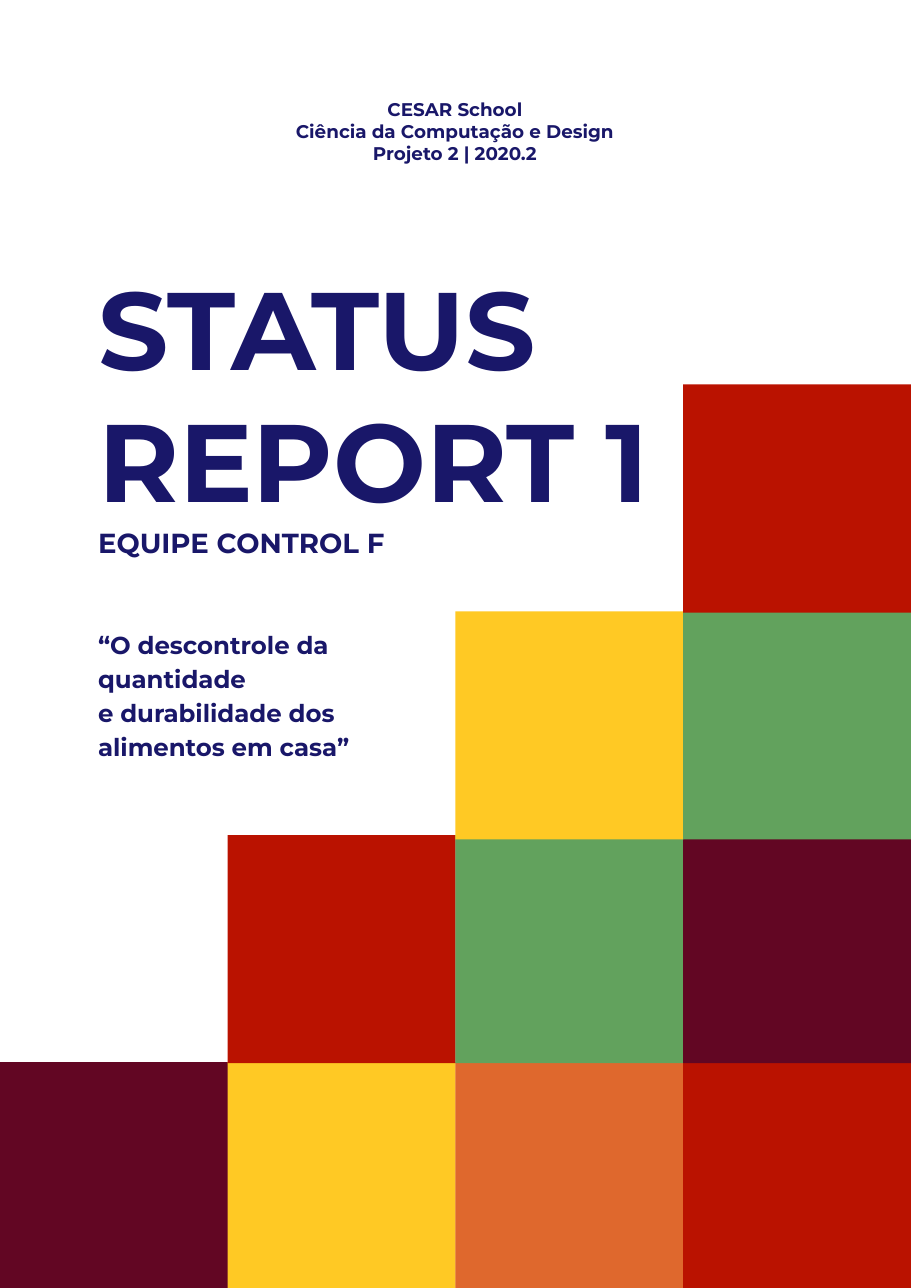
from pptx import Presentation
from pptx.dml.color import RGBColor
from pptx.enum import shapes, text
from pptx.oxml import xmlchemy as xml
from pptx.util import Inches, Pt

WIDE, HIGH = 8.27, 11.69
SIDE = 2.07
NAVY, RED, WINE = "191769", "BA1200", "620623"
GREEN, GOLD, RUST = "62A25D", "FFC924", "DF682D"

# Stairs of tiles: row top, then colours aligned to the right edge
ROWS = [
    (9.64, [WINE, GOLD, RUST, RED]),
    (7.58, [RED, GREEN, WINE]),
    (5.55, [GOLD, GREEN]),
    (3.49, [RED]),
]


def color(code):
    return RGBColor.from_string(code)


def tile(slide, left, top, code):
    box = slide.shapes.add_shape(
        shapes.MSO_SHAPE.RECTANGLE,
        Inches(left), Inches(top), Inches(SIDE), Inches(SIDE))
    box.shadow.inherit = False
    box.fill.solid()
    box.fill.fore_color.rgb = color(code)
    box.line.fill.background()


def stairs(slide):
    for top, codes in ROWS:
        first = 4 - len(codes)
        for col, code in enumerate(codes, first):
            tile(slide, col * WIDE / 4, top, code)


def place(shape, left, top, width, height):
    shape.left, shape.top = Inches(left), Inches(top)
    shape.width, shape.height = Inches(width), Inches(height)


def write(shape, lines, align=text.PP_ALIGN.LEFT):
    """Fill a shape with (words, size, line spacing, space before) lines."""
    frame = shape.text_frame
    frame.word_wrap = True
    frame.auto_size = text.MSO_AUTO_SIZE.NONE
    frame.vertical_anchor = text.MSO_ANCHOR.TOP
    frame.margin_left = frame.margin_right = Inches(0.1)
    frame.margin_top = frame.margin_bottom = Inches(0.1)
    frame.text = "\n".join(line[0] for line in lines)
    for para, (_, size, space, gap) in zip(frame.paragraphs, lines):
        plain(para)
        para.alignment = align
        para.line_spacing = space
        para.space_before = Pt(gap)
        para.font.name = "Montserrat"
        para.font.size = Pt(size)
        para.font.bold = True
        para.font.color.rgb = color(NAVY)


def plain(para):
    """Drop the bullet and indent of a paragraph."""
    props = para._p.get_or_add_pPr()
    props.set("marL", "0")
    props.set("indent", "0")
    props.append(xml.OxmlElement("a:buNone"))


def main():
    deck = Presentation()
    deck.slide_width, deck.slide_height = Inches(WIDE), Inches(HIGH)
    slide = deck.slides.add_slide(deck.slide_layouts[1])

    # Coloured tiles
    stairs(slide)

    # Title
    title = slide.shapes.title
    place(title, 0.79, 2.26, 6.47, 2.49)
    write(title, [("STATUS REPORT 1", 72, 1.0, 0)])

    # School and course
    head = slide.shapes.add_textbox(0, 0, 0, 0)
    place(head, 1.3, 0.79, 5.66, 0.69)
    names = ["CESAR School", "Ciência da Computação e Design",
             "Projeto 2 | 2020.2"]
    write(head, [(name, 12, 1.0, 0) for name in names],
          text.PP_ALIGN.CENTER)

    # Team and theme
    body = slide.placeholders[1]
    place(body, 0.79, 4.67, 3.24, 2.29)
    write(body, [
        ("EQUIPE CONTROL F", 18, 1.0, 0),
        ("“O descontrole da quantidade", 16, 1.15, 44),
        ("e durabilidade dos alimentos em casa”", 16, 1.15, 0),
    ])

    deck.save("out.pptx")


if __name__ == "__main__":
    main()
